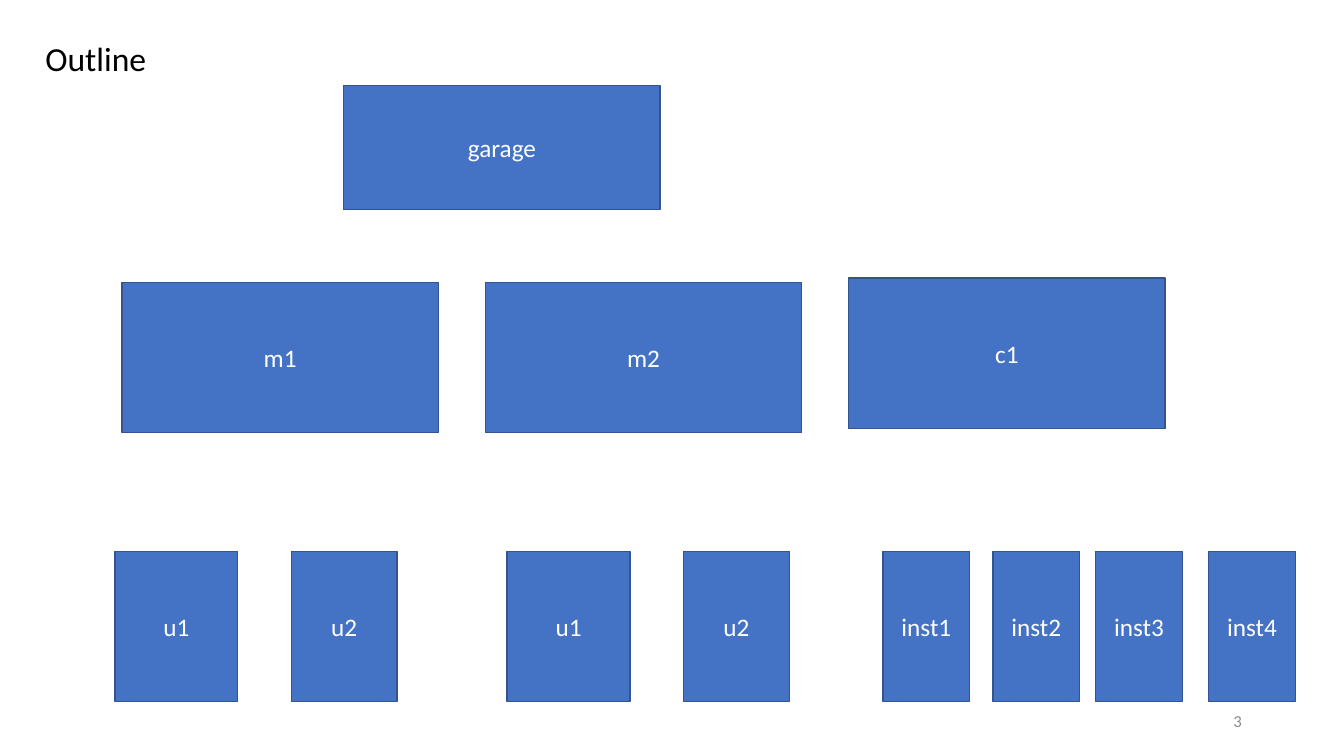
from pptx import Presentation
from pptx.dml.color import RGBColor
from pptx.enum.shapes import MSO_SHAPE as Shape
from pptx.enum.text import MSO_ANCHOR as Anchor, PP_ALIGN as Align
from pptx.util import Pt

COLORS = {"fill": "4472C4", "edge": "325491", "label": "FFFFFF",
          "title": "000000", "number": "8C8C8C"}
FONT = "Calibri"
UNIT_HEIGHT = 107.3


def color(name):
    return RGBColor.from_string(COLORS[name])


def write(shape, text, size=18, ink="label", align=Align.CENTER, spacing=1.0):
    frame = shape.text_frame
    frame.word_wrap = True
    frame.vertical_anchor = Anchor.MIDDLE
    frame.margin_left = frame.margin_right = Pt(7.2)
    frame.margin_top = frame.margin_bottom = Pt(3.6)
    paragraph = frame.paragraphs[0]
    paragraph.alignment = align
    paragraph.line_spacing = spacing
    run = paragraph.add_run()
    run.text = text
    run.font.name = FONT
    run.font.size = Pt(size)
    run.font.color.rgb = color(ink)


def add_block(slide, label, left, top, width, height):
    block = slide.shapes.add_shape(
        Shape.RECTANGLE, Pt(left), Pt(top), Pt(width), Pt(height))
    block.shadow.inherit = False
    block.fill.solid()
    block.fill.fore_color.rgb = color("fill")
    block.line.color.rgb = color("edge")
    block.line.width = Pt(1)
    write(block, label)


def add_heading(slide, left, top, width, height):
    heading = slide.shapes.title
    heading.left, heading.top = Pt(left), Pt(top)
    heading.width, heading.height = Pt(width), Pt(height)
    write(heading, "Outline", size=24, ink="title", align=Align.LEFT, spacing=0.9)


def add_page_number(slide, left, top, width, height):
    number = slide.shapes.add_textbox(Pt(left), Pt(top), Pt(width), Pt(height))
    write(number, "3", size=12, ink="number", align=Align.RIGHT)


def add_modules(slide, left, top, width, height):
    block_width = 226.1
    pitch = (width - block_width) / 2
    for column, (label, lift) in enumerate((("m1", 0), ("m2", 0), ("c1", 2.9))):
        add_block(slide, label, left + column * pitch, top - lift, block_width, height)


def add_units(slide, left, top, height):
    add_block(slide, "u1", left, top, 87.8, height)
    add_block(slide, "u2", left + 126, top, 75.6, height)


def add_instances(slide, left, top, height):
    for index, offset in enumerate((0, 78.5, 151.9, 232.6), start=1):
        add_block(slide, f"inst{index}", left + offset, top, 62, height)


def main():
    deck = Presentation()
    deck.slide_width, deck.slide_height = Pt(960), Pt(540)
    slide = deck.slides.add_slide(deck.slide_layouts[5])
    add_heading(slide, 25.2, 19.4, 868.3, 47.5)
    add_page_number(slide, 678.2, 500.4, 216, 28.8)
    add_block(slide, "garage", 245.5, 61.2, 226.1, 88.6)
    add_modules(slide, 87.1, 201.6, 745.2, UNIT_HEIGHT)
    for left in (82.1, 362.2):
        add_units(slide, left, 393.8, UNIT_HEIGHT)
    add_instances(slide, 630.7, 393.8, UNIT_HEIGHT)
    deck.save("out.pptx")


if __name__ == "__main__":
    main()
